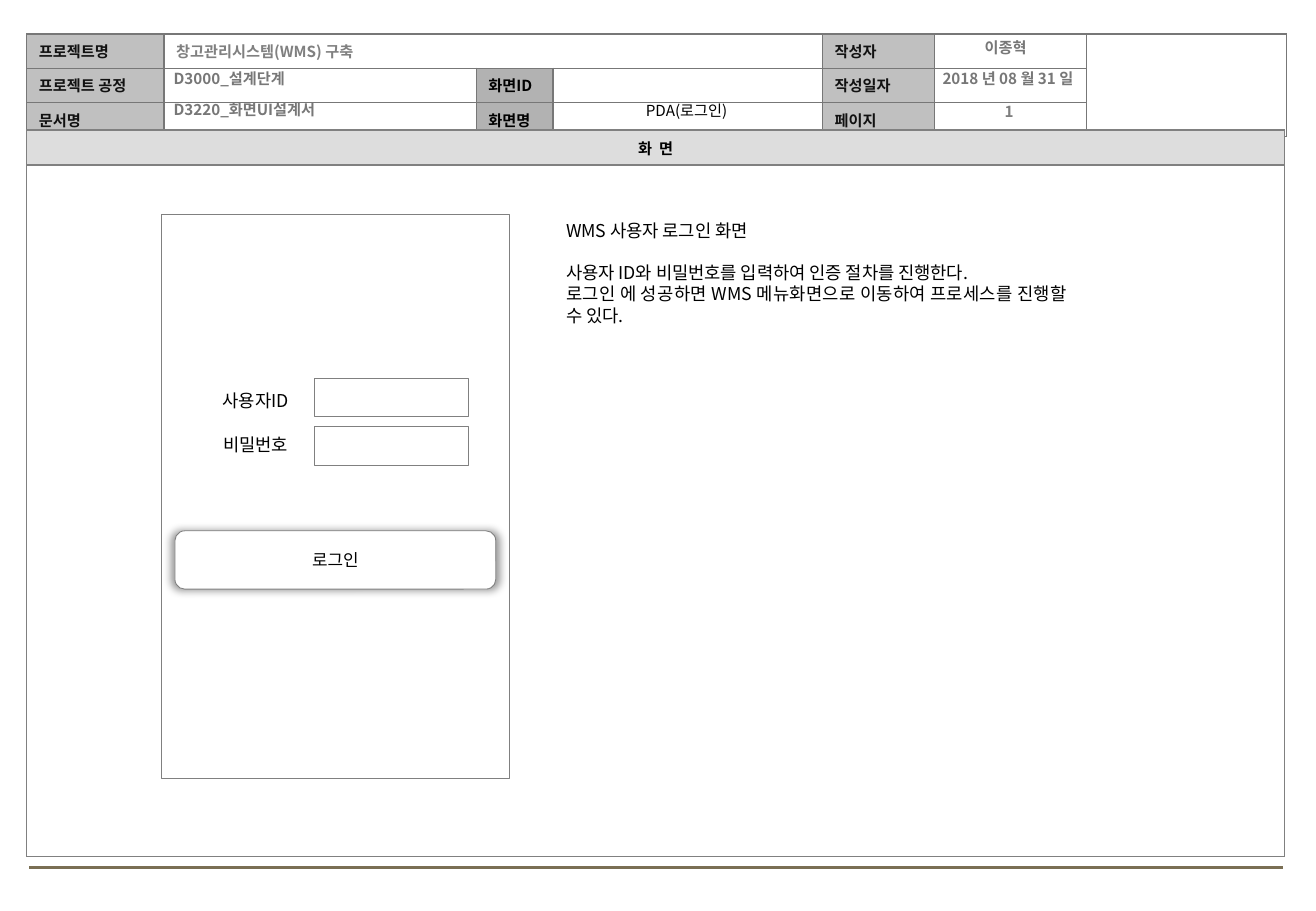
from lxml import etree
from pptx import Presentation
from pptx.dml.color import RGBColor
from pptx.enum.shapes import MSO_CONNECTOR, MSO_SHAPE
from pptx.enum.text import MSO_ANCHOR, MSO_AUTO_SIZE, PP_ALIGN
from pptx.oxml import parse_xml
from pptx.oxml.ns import nsdecls, qn
from pptx.util import Inches, Pt

FONT = "Noto Sans CJK KR"
LEFT, MID, JUST = PP_ALIGN.LEFT, PP_ALIGN.CENTER, PP_ALIGN.JUSTIFY
TOP, CENTRE = MSO_ANCHOR.TOP, MSO_ANCHOR.MIDDLE
RECT, ROUND = MSO_SHAPE.RECTANGLE, MSO_SHAPE.ROUNDED_RECTANGLE
GREY, EDGE, DARK, BLACK = "777777", "808080", "111111", "000000"


def color(text):
    return RGBColor.from_string(text)


def style(para, size, ink, bold=False, align=LEFT):
    para.alignment = align
    font = para.font
    font.name, font.size, font.bold = FONT, Pt(size), bold
    font.color.rgb = color(ink)
    east = etree.SubElement(para._p.pPr.find(qn("a:defRPr")), qn("a:ea"))
    east.set("typeface", FONT)


def label(slide, box, text, size=9, ink=GREY, bold=True, align=LEFT, wrap=True):
    shape = slide.shapes.add_textbox(*map(Inches, box))
    frame = shape.text_frame
    frame.word_wrap = wrap
    frame.text = text
    for para in frame.paragraphs:
        style(para, size, ink, bold, align)
    return frame


def panel(slide, box, fill=None, width=0.25, kind=RECT):
    shape = slide.shapes.add_shape(kind, *map(Inches, box))
    shape.shadow.inherit = False
    if fill:
        shape.fill.solid()
        shape.fill.fore_color.rgb = color(fill)
    else:
        shape.fill.background()
    shape.line.color.rgb = color(EDGE)
    shape.line.width = Pt(width)
    return shape


def paint(cell, fill, edge):
    props = cell._tc.get_or_add_tcPr()
    for side in ("lnL", "lnR", "lnT", "lnB"):
        props.append(parse_xml(
            f'<a:{side} {nsdecls("a")} w="12700"><a:solidFill>'
            f'<a:srgbClr val="{edge}"/></a:solidFill></a:{side}>'))
    if fill:
        cell.fill.solid()
        cell.fill.fore_color.rgb = color(fill)
    else:
        cell.fill.background()


def grid(slide, left, top, cols, rows, edge):
    """Add a plain table with small empty cells."""
    table = slide.shapes.add_table(
        len(rows), len(cols), Inches(left), Inches(top),
        Inches(sum(cols)), Inches(sum(rows))).table
    table.first_row = table.horz_banding = False
    for col, width in zip(table.columns, cols):
        col.width = Inches(width)
    for row, height in zip(table.rows, rows):
        row.height = Inches(height)
    for cell in table.iter_cells():
        paint(cell, None, edge)
        end = etree.SubElement(cell.text_frame.paragraphs[0]._p, qn("a:endParaRPr"))
        end.set("sz", "900")
    return table


def write(cell, text, ink, fill=None, align=LEFT):
    cell.text = text
    cell.vertical_anchor = CENTRE
    style(cell.text_frame.paragraphs[0], 9, ink, True, align)
    if fill:
        cell.fill.solid()
        cell.fill.fore_color.rgb = color(fill)


def header(slide, left, top):
    cols = [1.13, 2.57, 0.63, 2.22, 0.92, 1.25, 1.65]
    table = grid(slide, left, top, cols, [0.25] * 3, GREY)
    heads = [
        (0, "C0C0C0", DARK, ["프로젝트명", "프로젝트 공정", "문서명"]),
        (2, "B2B2B2", BLACK, [None, "화면ID", "화면명"]),
        (4, "C0C0C0", DARK, ["작성자", "작성일자", "페이지"]),
    ]
    for col, fill, ink, names in heads:
        for row, name in enumerate(names):
            if name:
                write(table.cell(row, col), name, ink, fill)
    write(table.cell(0, 1), "창고관리시스템(WMS) 구축", EDGE)
    table.cell(0, 1).merge(table.cell(0, 3))
    table.cell(0, 6).merge(table.cell(2, 6))

    # Values laid over the empty cells
    x = left + cols[0] - 0.02
    label(slide, (x, top + 0.24, 5.42, 0.25), "D3000_설계단계")
    label(slide, (x, top + 0.5, 5.42, 0.25), "D3220_화면UI설계서")
    x = left + sum(cols[:5])
    for dx, dy, width, text, ink in [
            (-0.2, -0.01, 1.57, "이종혁", GREY),
            (-0.18, 0.24, 1.57, "2018 년 08 월 31 일", GREY),
            (-0.01, 0.51, 1.25, "1", "7F7F7F")]:
        label(slide, (x + dx, top + dy, width, 0.25), text, ink=ink, align=MID)


def title(slide, box, text):
    shape = slide.shapes.title
    shape.left, shape.top, shape.width, shape.height = map(Inches, box)
    frame = shape.text_frame
    frame.text = text
    frame.auto_size = MSO_AUTO_SIZE.NONE
    frame.vertical_anchor = TOP
    style(frame.paragraphs[0], 9, BLACK, align=MID)


def body(slide, left, top):
    table = grid(slide, left, top, [10.35], [0.29, 5.69], EDGE)
    cell = table.cell(0, 0)
    cell.margin_left = cell.margin_right = Inches(0.02)
    cell.margin_top = cell.margin_bottom = 0
    write(cell, "화  면", BLACK, "DDDDDD", MID)


def login(slide, left, top):
    panel(slide, (left, top, 2.86, 4.65))
    # Input fields
    for row, name in enumerate(["사용자ID", "비밀번호"]):
        panel(slide, (left + 1.26, top + 1.35 + 0.4 * row, 1.26, 0.32), "FFFFFF")
        label(slide, (left + 0.38, top + 1.4 + 0.36 * row, 0.79, 0.28),
              name, 10.5, BLACK, False, MID, False)
    # Button with a soft glow
    button = panel(slide, (left + 0.11, top + 2.61, 2.64, 0.48), "FFFFFF", 0.5, ROUND)
    button.text_frame.text = "로그인"
    button.text_frame.vertical_anchor = CENTRE
    style(button.text_frame.paragraphs[0], 10, BLACK, align=MID)
    effects = button._element.spPr.find(qn("a:effectLst"))
    effects.append(parse_xml(
        f'<a:outerShdw {nsdecls("a")} blurRad="63500" sx="102000" sy="102000" '
        'algn="ctr" rotWithShape="0"><a:srgbClr val="000000">'
        '<a:alpha val="40000"/></a:srgbClr></a:outerShdw>'))


def notes(slide, box):
    frame = label(slide, box, "WMS 사용자 로그인 화면\n"
                  "사용자 ID와 비밀번호를 입력하여 인증 절차를 진행한다.\n"
                  "로그인 에 성공하면 WMS 메뉴화면으로 이동하여 프로세스를 진행할 수 있다.",
                  10.5, BLACK, False, JUST)
    frame.paragraphs[1].space_before = Pt(12.5)


def rule(slide, left, top, width):
    line = slide.shapes.add_connector(
        MSO_CONNECTOR.STRAIGHT, *map(Inches, (left, top, left + width, top)))
    line.line.color.rgb = color("7A6F54")
    line.line.width = Pt(1.75)
    etree.SubElement(line._element.spPr, qn("a:effectLst"))


def main():
    deck = Presentation()
    deck.slide_width, deck.slide_height = Inches(10.83), Inches(7.5)
    slide = deck.slides.add_slide(deck.slide_layouts[5])
    rule(slide, 0.24, 7.14, 10.32)
    header(slide, 0.22, 0.28)
    body(slide, 0.22, 1.07)
    title(slide, (4.56, 0.78, 2.18, 0.25), "PDA(로그인)")
    login(slide, 1.33, 1.76)
    notes(slide, (4.56, 1.76, 4.32, 0.98))
    deck.save("out.pptx")


if __name__ == "__main__":
    main()
